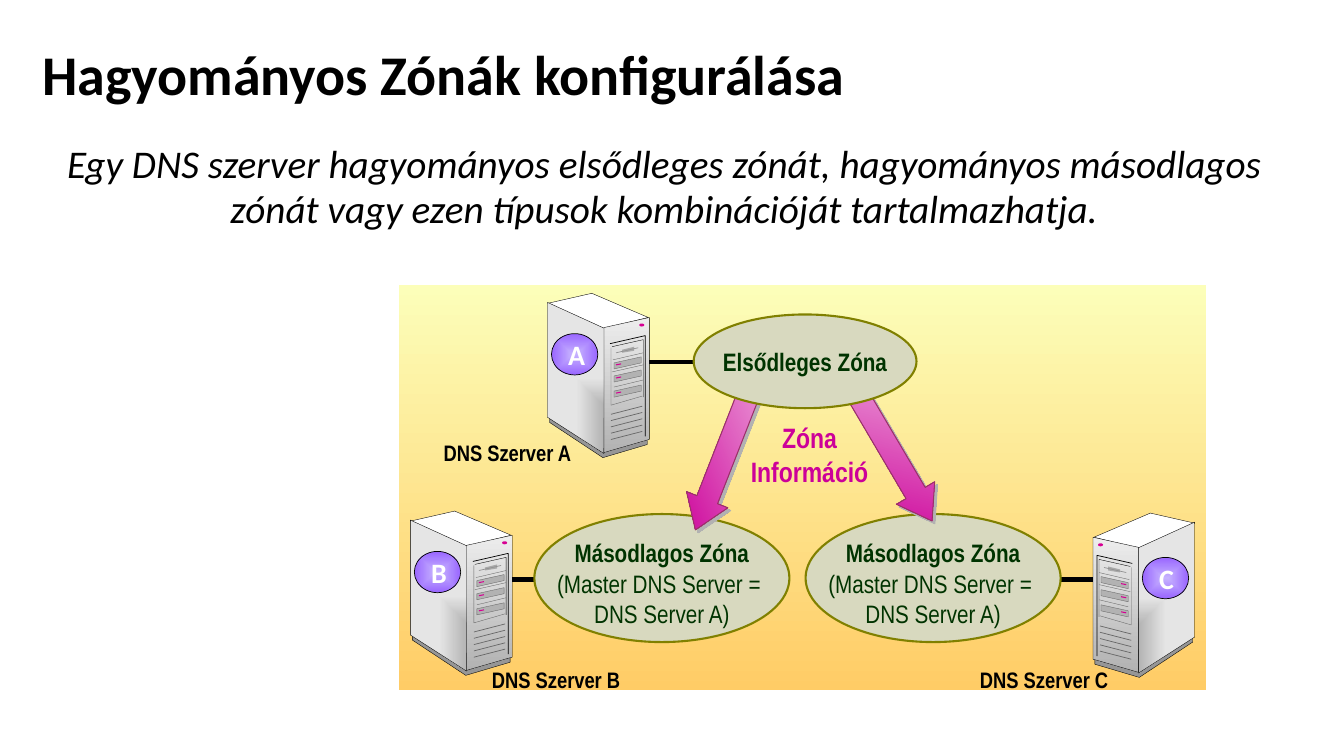
from lxml import etree
from pptx import Presentation
from pptx.dml.color import RGBColor
from pptx.enum import shapes as kinds, text as t
from pptx.oxml.ns import qn
from pptx.util import Inches, Pt

COLORS = {
    "black": "000000", "white": "FFFFFF", "sky": "FCFEB9", "sand": "FFCC66",
    "zone": "D8D9BF", "olive": "808000", "forest": "003300",
    "magenta": "CC0099", "pink": "EEA9DD", "plum": "993366", "light": "D60093",
    "lilac": "C6B2FF", "violet": "9966FF", "base": "969696", "steel": "B2B2B2",
    "pale": "E5E5E5", "bright": "EDEDED", "groove": "676767",
    "slot": "A9A9A9", "slit": "919191",
}
CASE_WIDTH = 1.01
MIDDLE = t.MSO_ANCHOR.MIDDLE
CENTER = t.PP_ALIGN.CENTER
NARROW = "Arial Narrow"


def rgb(name):
    return RGBColor.from_string(COLORS[name])


def gradient(shape, first, last, angle=90, focus=None):
    """Clockwise linear gradient, or a path gradient if focus is (path, l, t, r, b)."""
    shape.fill.gradient()
    for stop, name in zip(shape.fill.gradient_stops, (first, last)):
        stop.color.rgb = rgb(name)
    shape.fill.gradient_angle = 360 - angle
    if focus:
        linear = shape._element.spPr.find(".//" + qn("a:lin"))
        path = etree.Element(qn("a:path"), path=focus[0])
        rect = etree.SubElement(path, qn("a:fillToRect"))
        for side, percent in zip("ltrb", focus[1:]):
            rect.set(side, str(percent * 1000))
        linear.getparent().replace(linear, path)


def style(shape, fill=None, line=None, width=0.25):
    shape.shadow.inherit = False
    if fill:
        shape.fill.solid()
        shape.fill.fore_color.rgb = rgb(fill)
    else:
        shape.fill.background()
    if line:
        shape.line.color.rgb = rgb(line)
        shape.line.width = Pt(width)
    else:
        shape.line.fill.background()
    return shape


def add_preset(parent, kind, box, **look):
    return style(parent.add_shape(kind, *map(Inches, box)), **look)


def add_line(parent, start, end, color, width):
    line = parent.add_connector(kinds.MSO_CONNECTOR.STRAIGHT, *map(Inches, (*start, *end)))
    line.line.color.rgb = rgb(color)
    line.line.width = Pt(width)
    etree.SubElement(line._element.spPr, qn("a:effectLst"))


def write(shape, lines, size, color, font=NARROW, inset=(0.05,) * 4, align=CENTER,
          spacing=None, italic=False, **frame_format):
    """Fill the text frame with (text, bold) paragraphs."""
    frame = shape.text_frame
    margins = dict(zip(("margin_left", "margin_top", "margin_right", "margin_bottom"),
                       map(Inches, inset)))
    frame_values = {"word_wrap": True, "vertical_anchor": MIDDLE} | margins | frame_format
    for name, value in frame_values.items():
        setattr(frame, name, value)
    for index, (content, bold) in enumerate(lines):
        para = frame.add_paragraph() if index else frame.paragraphs[0]
        para.text = content
        para.alignment = align
        if spacing:
            para.line_spacing = spacing
        for span in para.runs:
            for name, value in {"name": font, "size": Pt(size), "bold": bold, "italic": italic}.items():
                setattr(span.font, name, value)
            span.font.color.rgb = rgb(color)


def add_label(page, box, content, size=16, color="black", align=t.PP_ALIGN.LEFT):
    label = page.shapes.add_textbox(*map(Inches, box))
    write(label, [(content, True)], size, color, align=align,
          auto_size=t.MSO_AUTO_SIZE.SHAPE_TO_FIT_TEXT)


def add_heading(page):
    title = page.shapes.title
    for name, value in zip(("left", "top", "width", "height"), (0.32, 0.29, 8.92, 0.95)):
        setattr(title, name, Inches(value))
    write(title, [("Hagyományos Zónák konfigurálása", True)], 40, "black", "Calibri",
          (0.1, 0.05, 0.1, 0.05), t.PP_ALIGN.LEFT, 0.9, auto_size=t.MSO_AUTO_SIZE.NONE)
    body = page.shapes.add_textbox(*map(Inches, (0.19, 1.37, 12.79, 1.33)))
    write(body, [("Egy DNS szerver hagyományos elsődleges zónát, hagyományos másodlagos "
                  "zónát vagy ezen típusok kombinációját tartalmazhatja.", False)],
          28, "black", "Calibri", (0.1, 0.05, 0.1, 0.05), spacing=0.95, italic=True,
          vertical_anchor=t.MSO_ANCHOR.TOP)


def add_server(page, left, top, mirrored=False):
    group = page.shapes.add_group_shape().shapes

    def place(x, y):
        return left + (CASE_WIDTH - x if mirrored else x), top + y

    def outline(points, closed=True, **look):
        corners = [tuple(map(Inches, place(*point))) for point in points]
        builder = group.build_freeform(*corners[0], scale=1.0)
        builder.add_line_segments(corners[1:], close=closed)
        return style(builder.convert_to_shape(), **look)

    def stroke(start, end, color, width):
        add_line(group, place(*start), place(*end), color, width)

    outline([(0.99, 1.44), (0.99, 1.5), (0.55, 1.63), (0.02, 1.28), (0.02, 1.21)],
            closed=False, fill="base", line="black")
    outline([(1, 0.24), (0.56, 0.35), (0, 0.1), (0.44, 0)], fill="white", line="black")
    front = outline([(0.57, 0.35), (0.56, 1.59), (0, 1.23), (0, 0.09)], line="black")
    gradient(front, "steel", "pale",
             focus=("rect", 0, 100, 100, 0) if mirrored else ("rect", 100, 100, 0, 0))
    side = outline([(0.56, 0.34), (0.56, 1.58), (1.01, 1.45), (1.01, 0.24)], line="black")
    gradient(side, "bright", "steel")

    lamp_x, lamp_y = place(0.935, 0.3)
    add_preset(group, kinds.MSO_SHAPE.OVAL, (lamp_x - 0.025, lamp_y, 0.05, 0.03), fill="light")
    for index in range(5):
        drop = index * 0.0625
        stroke((0.94, 1.12 + drop), (0.63, 1.2 + drop), "groove", 0.5)
    for points, color, width in (
        ([(0.94, 1.02), (0.63, 1.11), (0.63, 0.54)], "groove", 0.25),
        ([(0.62, 0.5), (0.97, 0.42), (0.97, 1.42)], "black", 0.5),
        ([(0.64, 0.53), (0.95, 0.46), (0.95, 1.03)], "black", 0.25),
    ):
        outline(points, closed=False, line=color, width=width)
    for x, y in ((0.65, 0.66), (0.64, 0.78), (0.66, 0.93)):
        stroke((0.95, y - 0.07), (x, y), "groove", 0.25)
    outline([(0.86, 0.53), (0.86, 0.57), (0.74, 0.59), (0.74, 0.56)], fill="slot")
    stroke((0.9, 0.54), (0.68, 0.59), "slit", 0.5)
    for y in (0.63, 0.76, 0.91):
        outline([(0.93, y + 0.06), (0.93, y), (0.66, y + 0.06), (0.66, y + 0.12)],
                fill="steel", line="groove")
        stroke((0.68, y + 0.08), (0.73, y + 0.07), "light", 0.75)


def add_badge(page, left, top, letter):
    badge = add_preset(page.shapes, kinds.MSO_SHAPE.OVAL, (left, top, 0.46, 0.41),
                       line="black", width=0.5)
    gradient(badge, "lilac", "violet", focus=("shape", 50, 50, 50, 50))
    write(badge, [(letter, True)], 20, "white", "Calibri", (0.1, 0.03, 0.1, 0.03))


def add_zone(page, box, lines, **layout):
    zone = add_preset(page.shapes, kinds.MSO_SHAPE.OVAL, box, fill="zone", line="olive", width=1.5)
    write(zone, lines, 18, "forest", word_wrap=False, **layout)


def add_transfer_arrow(page, left, top, rotation):
    arrow = add_preset(page.shapes, kinds.MSO_SHAPE.RIGHT_ARROW, (left, top, 1.69, 0.44),
                       line="plum", width=0.75)
    arrow.rotation = rotation
    arrow.adjustments[1] = 0.73
    gradient(arrow, "pink", "magenta", 45)
    effects = arrow._element.spPr.find(qn("a:effectLst"))
    shadow = etree.SubElement(effects, qn("a:outerShdw"), dist=str(Pt(2.8)),
                              dir=str(45 * 60000), algn="ctr", rotWithShape="0")
    etree.SubElement(shadow, qn("a:srgbClr"), val=COLORS["steel"])


def add_diagram(page, left, top):
    panel = add_preset(page.shapes, kinds.MSO_SHAPE.RECTANGLE, (left, top, 8, 4.02))
    gradient(panel, "sky", "sand")
    for start, end, y in ((2.47, 3.16, 0.76), (1.11, 1.73, 2.92), (6.27, 6.9, 2.92)):
        add_line(page.shapes, (left + start, top + y), (left + end, top + y), "black", 3)
    for letter, case, badge, label in (
        ("A", (1.47, 0.08), (1.51, 0.48), (0.39, 1.47)),
        ("B", (0.11, 2.24), (0.15, 2.64), (0.87, 3.73)),
        ("C", (6.88, 2.26), (7.37, 2.7), (5.71, 3.73)),
    ):
        add_server(page, left + case[0], top + case[1], mirrored=letter == "C")
        add_badge(page, left + badge[0], top + badge[1], letter)
        add_label(page, (left + label[0], top + label[1], 1.44, 0.37), f"DNS Szerver {letter}")
    for x in (1.34, 4.03):
        add_zone(page, (left + x, top + 2.27, 2.53, 1.27),
                 [("Másodlagos Zóna", True), ("(Master DNS Server = \vDNS Server A)", False)],
                 inset=(0.05, 0.05, 0.05, 0.5), vertical_anchor=t.MSO_ANCHOR.TOP)
    add_transfer_arrow(page, left + 4.01, top + 1.39, 59.5)
    add_transfer_arrow(page, left + 2.4, top + 1.42, 111.4)
    add_zone(page, (left + 2.92, top + 0.29, 2.21, 0.93), [("Elsődleges Zóna", True)])
    add_label(page, (left + 3.35, top + 1.29, 1.44, 0.77), "Zóna Információ", 20, "magenta", CENTER)


def main():
    deck = Presentation()
    deck.slide_width, deck.slide_height = Inches(13.33), Inches(7.5)
    page = deck.slides.add_slide(deck.slide_layouts[5])
    add_heading(page)
    add_diagram(page, 3.96, 2.83)
    deck.save("out.pptx")


if __name__ == "__main__":
    main()
